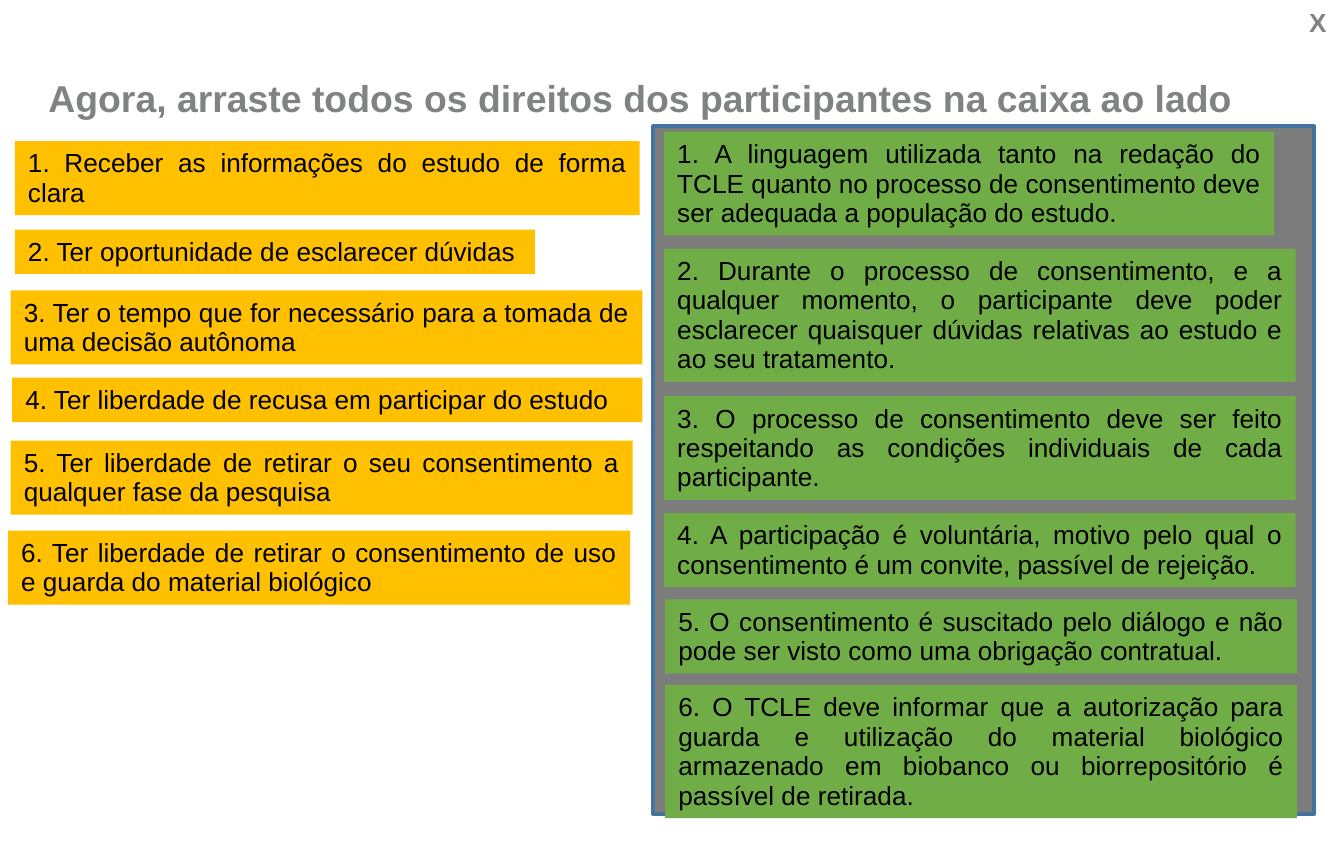
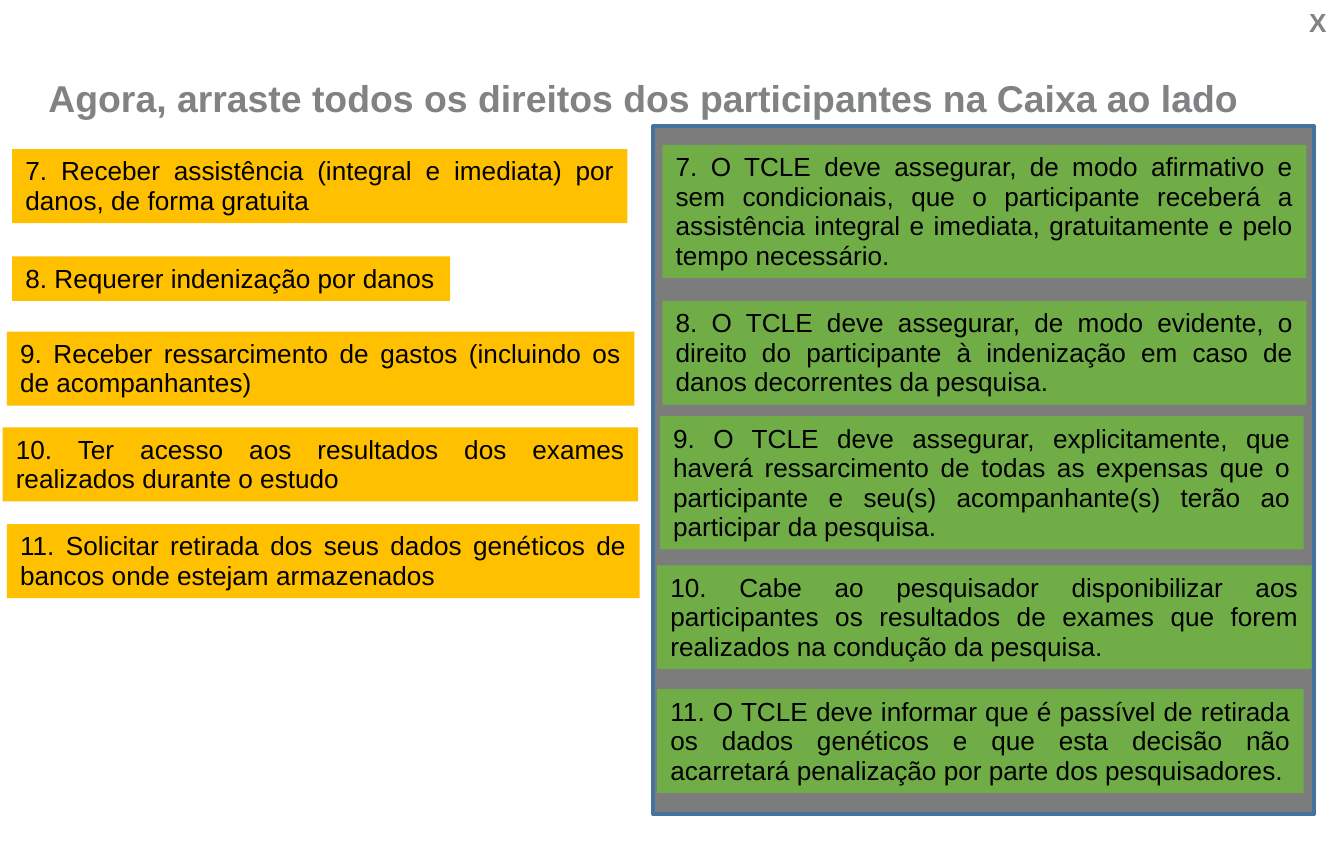
from dataclasses import dataclass

import pptx
import pptx.dml.color
import pptx.enum.shapes
import pptx.enum.text
import pptx.util

Cm = pptx.util.Cm
Pt = pptx.util.Pt
RGBColor = pptx.dml.color.RGBColor
ALIGN = pptx.enum.text.PP_ALIGN
ANCHOR = pptx.enum.text.MSO_ANCHOR
AUTO_SIZE = pptx.enum.text.MSO_AUTO_SIZE

WHITE = RGBColor(0xFF, 0xFF, 0xFF)
BLACK = RGBColor(0x00, 0x00, 0x00)
HEADING_GREY = RGBColor(0x80, 0x82, 0x84)
PANEL_GREY = RGBColor(0x7C, 0x7C, 0x7C)
PANEL_BLUE = RGBColor(0x43, 0x73, 0x9E)
RIGHT_AMBER = RGBColor(0xFF, 0xC0, 0x00)
DUTY_GREEN = RGBColor(0x70, 0xAD, 0x47)

FONT = "Arial"
TITLE_ONLY = 5
CARD_MARGINS = 0.28
CARD_LINE = 0.56


@dataclass
class Card:
    """A numbered box; left, top and width are in centimetres."""
    left: float
    top: float
    width: float
    lines: int
    text: str
    wrap: bool = True

    def place(self):
        height = CARD_MARGINS + CARD_LINE * self.lines
        return self.left, self.top, self.width, height


def write(frame, text, *, size=14, color=BLACK, bold=False, align=ALIGN.LEFT,
          anchor=ANCHOR.TOP, wrap=True, fit=AUTO_SIZE.NONE,
          line_spacing=None, space_after=None):
    frame.text = text
    frame.word_wrap = wrap
    frame.auto_size = fit
    frame.vertical_anchor = anchor
    paragraph = frame.paragraphs[0]
    paragraph.alignment = align
    paragraph.line_spacing = line_spacing
    paragraph.space_after = space_after
    font = paragraph.runs[0].font
    font.name = FONT
    font.size = Pt(size)
    font.bold = bold
    font.color.rgb = color


class DragExercise:
    """Holds the deck's style and the slide being built."""

    def __init__(self):
        self.deck = pptx.Presentation()
        self.deck.slide_width = Cm(25.4)
        self.deck.slide_height = Cm(16.05)
        self.slide = None

    def start_slide(self, heading):
        layout = self.deck.slide_layouts[TITLE_ONLY]
        self.slide = self.deck.slides.add_slide(layout)
        background = self.slide.background.fill
        background.solid()
        background.fore_color.rgb = WHITE
        self.title(heading)
        self.close_mark()
        self.drop_panel()

    def title(self, heading):
        title = self.slide.shapes.title
        title.left, title.top = Cm(0.66), Cm(0.43)
        title.width, title.height = Cm(23.83), Cm(1.96)
        write(title.text_frame, heading, size=20, color=HEADING_GREY,
              bold=True, anchor=ANCHOR.BOTTOM)

    def close_mark(self):
        mark = self.slide.shapes.add_textbox(Cm(24.49), Cm(0), Cm(1.07), Cm(0.86))
        write(mark.text_frame, "X", color=HEADING_GREY, bold=True)

    def rectangle(self, place, color):
        box = self.slide.shapes.add_shape(
            pptx.enum.shapes.MSO_SHAPE.RECTANGLE, *map(Cm, place))
        box.shadow.inherit = False
        box.fill.solid()
        box.fill.fore_color.rgb = color
        box.line.fill.background()
        return box

    def drop_panel(self):
        panel = self.rectangle((12.34, 2.39, 12.5, 13), PANEL_GREY)
        panel.line.color.rgb = PANEL_BLUE
        panel.line.width = Pt(2)

    def card(self, number, card, color):
        box = self.rectangle(card.place(), color)
        write(box.text_frame, f"{number}. {card.text}", align=ALIGN.JUSTIFY,
              anchor=ANCHOR.MIDDLE, wrap=card.wrap,
              fit=AUTO_SIZE.SHAPE_TO_FIT_TEXT,
              line_spacing=Pt(15.8), space_after=Pt(11.3))

    def card_pairs(self, pairs, first_number):
        for number, (right, duty) in enumerate(pairs, first_number):
            self.card(number, right, RIGHT_AMBER)
            self.card(number, duty, DUTY_GREEN)


CONSENT_PAIRS = [
    (Card(0.28, 2.67, 11.81, 2,
          "Receber as informações do estudo de forma clara"),
     Card(12.55, 2.49, 11.53, 3,
          "A linguagem utilizada tanto na redação do TCLE quanto no processo de "
          "consentimento deve ser adequada a população do estudo.")),
    (Card(0.28, 4.34, 9.83, 1,
          "Ter oportunidade de esclarecer dúvidas", wrap=False),
     Card(12.55, 4.7, 11.94, 4,
          "Durante o processo de consentimento, e a qualquer momento, o "
          "participante deve poder esclarecer quaisquer dúvidas relativas ao "
          "estudo e ao seu tratamento.")),
    (Card(0.2, 5.49, 11.94, 2,
          "Ter o tempo que for necessário para a tomada de uma decisão autônoma"),
     Card(12.55, 7.49, 11.94, 3,
          "O processo de consentimento deve ser feito respeitando as condições "
          "individuais de cada participante.")),
    (Card(0.23, 7.14, 11.91, 1,
          "Ter liberdade de recusa em participar do estudo"),
     Card(12.55, 9.7, 11.94, 2,
          "A participação é voluntária, motivo pelo qual o consentimento é um "
          "convite, passível de rejeição.")),
    (Card(0.2, 8.33, 11.76, 2,
          "Ter liberdade de retirar o seu consentimento a qualquer fase da "
          "pesquisa"),
     Card(12.57, 11.33, 11.94, 2,
          "O consentimento é suscitado pelo diálogo e não pode ser visto como "
          "uma obrigação contratual.")),
    (Card(0.15, 10.03, 11.76, 2,
          "Ter liberdade de retirar o consentimento de uso e guarda do material "
          "biológico"),
     Card(12.57, 12.95, 11.94, 4,
          "O TCLE deve informar que a autorização para guarda e utilização do "
          "material biológico armazenado em biobanco ou biorrepositório é "
          "passível de retirada.")),
]

ASSISTANCE_PAIRS = [
    (Card(0.23, 2.82, 11.63, 2,
          "Receber assistência (integral e imediata) por danos, de forma "
          "gratuita"),
     Card(12.52, 2.74, 12.17, 4,
          "O TCLE deve assegurar, de modo afirmativo e sem condicionais, que o "
          "participante receberá a assistência integral e imediata, "
          "gratuitamente e pelo tempo necessário.")),
    (Card(0.23, 4.85, 8.28, 1,
          "Requerer indenização por danos", wrap=False),
     Card(12.52, 5.69, 12.17, 3,
          "O TCLE deve assegurar, de modo evidente, o direito do participante à "
          "indenização em caso de danos decorrentes da pesquisa.")),
    (Card(0.13, 6.27, 11.86, 2,
          "Receber ressarcimento de gastos (incluindo os de acompanhantes)"),
     Card(12.47, 7.87, 12.17, 4,
          "O TCLE deve assegurar, explicitamente, que haverá ressarcimento de "
          "todas as expensas que o participante e seu(s) acompanhante(s) terão "
          "ao participar da pesquisa.")),
    (Card(0.05, 8.08, 12.01, 2,
          "Ter acesso aos resultados dos exames realizados durante o estudo"),
     Card(12.42, 10.69, 12.37, 3,
          "Cabe ao pesquisador disponibilizar aos participantes os resultados "
          "de exames que forem realizados na condução da pesquisa.")),
    (Card(0.13, 9.91, 11.96, 2,
          "Solicitar retirada dos seus dados genéticos de bancos onde estejam "
          "armazenados"),
     Card(12.42, 13.03, 12.22, 3,
          "O TCLE deve informar que é passível de retirada os dados genéticos e "
          "que esta decisão não acarretará penalização por parte dos "
          "pesquisadores.")),
]


def main():
    exercise = DragExercise()
    exercise.start_slide(
        "Agora, arraste todos os direitos dos participantes na caixa ao lado")
    exercise.card_pairs(CONSENT_PAIRS, first_number=1)
    exercise.start_slide(
        "Agora, arraste todos os direitos dos participantes na Caixa ao lado")
    exercise.card_pairs(ASSISTANCE_PAIRS, first_number=len(CONSENT_PAIRS) + 1)
    exercise.deck.save("out.pptx")


if __name__ == "__main__":
    main()
